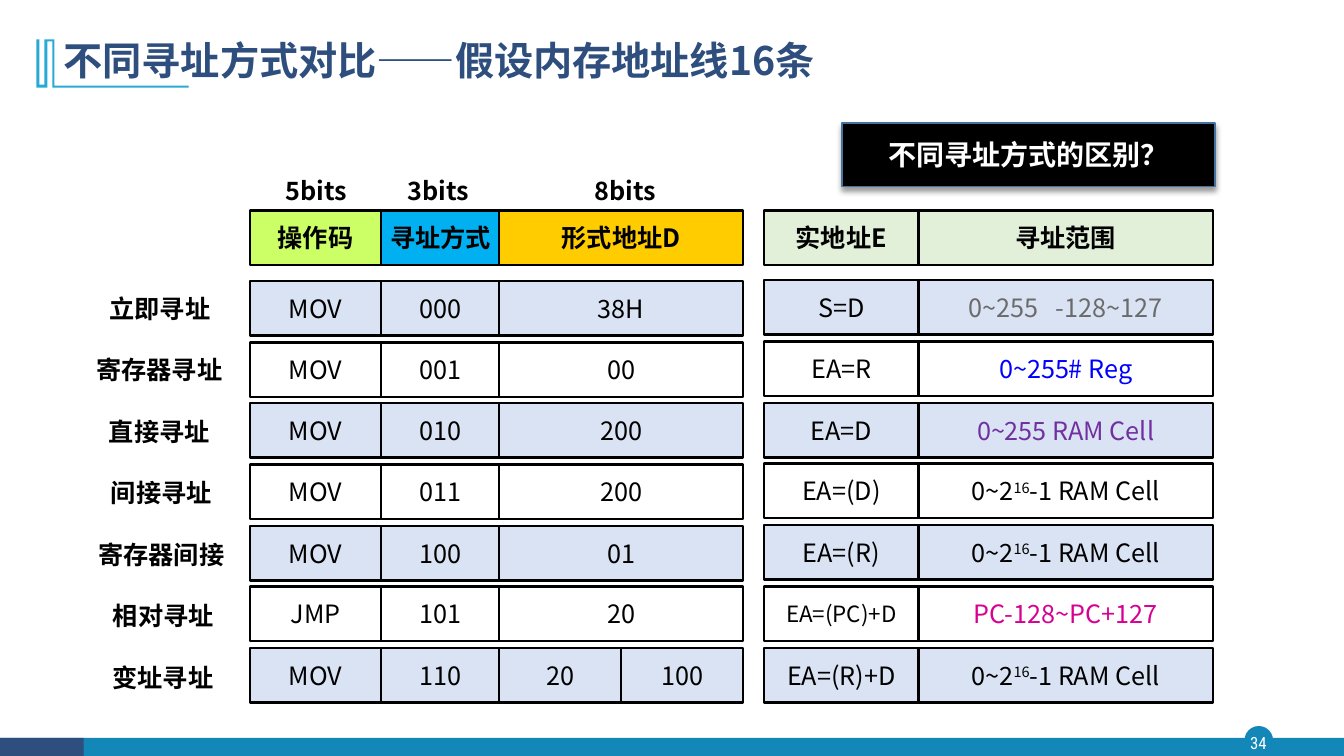
from lxml import etree
from pptx import Presentation
from pptx.dml.color import RGBColor
from pptx.enum.shapes import MSO_SHAPE
from pptx.enum.text import MSO_ANCHOR, MSO_AUTO_SIZE, PP_ALIGN
from pptx.oxml.ns import qn
from pptx.util import Pt

RECT, OVAL = MSO_SHAPE.RECTANGLE, MSO_SHAPE.OVAL
MIDDLE, TOP = MSO_ANCHOR.MIDDLE, MSO_ANCHOR.TOP
CENTER, LEFT = PP_ALIGN.CENTER, PP_ALIGN.LEFT
NO_FIT = MSO_AUTO_SIZE.NONE

PX = 9144  # EMU in one px, 100 px to the inch
THEME = {
    "font": "Noto Sans CJK SC", "title_font": "Noto Sans CJK JP",
    "number_font": "Roboto Condensed",
    "title_size": 28, "callout_size": 20, "size": 18, "small": 16, "number_size": 12,
    "border": 1.75, "thin": 1,
    "navy": "2E4E7E", "teal": "1387B7", "sky": "28A9D6", "outline": "43739E",
    "black": "000000", "white": "FFFFFF", "band": "DAE3F3",
    "opcode": "CCFF66", "mode": "00B0F0", "operand": "FFCC00", "result": "E2F0D9",
    "grey": "6B6B6B", "blue": "0000FF", "purple": "7030A0", "pink": "D60093",
}
ROW_HEIGHT, LAST_ROW_TOP = 54, 643

# Runs: text, then extra run attributes
CELLS_2_16 = [("0~2", {}), ("16", {"baseline": "30000"}), ("-1 RAM Cell", {})]
SIGNED_RANGE = [("0~255", {}), (" ", {"spc": "800"}), ("-128~127", {})]

# Row label with its left and width; opcode, mode, operands; address; range and its colour
ROWS = [
    ("立即寻址", 81, 155, "MOV", "000", ["38H"], "S=D", SIGNED_RANGE, "grey"),
    ("寄存器寻址", 83, 150, "MOV", "001", ["00"], "EA=R", "0~255# Reg", "blue"),
    ("直接寻址", 92, 132, "MOV", "010", ["200"], "EA=D", "0~255 RAM Cell", "purple"),
    ("间接寻址", 90, 140, "MOV", "011", ["200"], "EA=(D)", CELLS_2_16, "black"),
    ("寄存器间接", 83, 154, "MOV", "100", ["01"], "EA=(R)", CELLS_2_16, "black"),
    ("相对寻址", 97, 130, "JMP", "101", ["20"], "EA=(PC)+D", "PC-128~PC+127", "pink"),
    ("变址寻址", 99, 125, "MOV", "110", ["20", "100"], "EA=(R)+D", CELLS_2_16, "black"),
]


def rgb(name):
    return RGBColor.from_string(THEME[name])


def apply(target, **values):
    for name, value in values.items():
        setattr(target, name, value)


def emu(*lengths):
    return [round(length * PX) for length in lengths]


def write(shape, text, color="black", size="size", bold=False, font="font",
          align=CENTER, anchor=MIDDLE, wrap=False, side_inset=10, inset=5):
    frame = shape.text_frame
    side, edge = emu(side_inset, inset)
    apply(frame, auto_size=NO_FIT, word_wrap=wrap, vertical_anchor=anchor,
          margin_left=side, margin_right=side, margin_top=edge, margin_bottom=edge)
    paragraph = frame.paragraphs[0]
    paragraph.alignment = align
    for part, extras in [(text, {})] if isinstance(text, str) else text:
        run = paragraph.add_run()
        run.text = part
        apply(run.font, name=THEME[font], size=Pt(THEME[size]), bold=bold)
        run.font.color.rgb = rgb(color)
        properties = run._r.get_or_add_rPr()
        etree.SubElement(properties, qn("a:ea")).set("typeface", THEME[font])
        for name, value in extras.items():
            properties.set(name, value)
    return paragraph


def paint(shape, fill, line=None, width="border"):
    shape.shadow.inherit = False
    shape.fill.solid()
    shape.fill.fore_color.rgb = rgb(fill)
    if line:
        shape.line.color.rgb = rgb(line)
        shape.line.width = Pt(THEME[width])
    else:
        shape.line.fill.background()


def block(slide, box, fill, line=None, width="border", preset=RECT):
    shape = slide.shapes.add_shape(preset, *emu(*box))
    paint(shape, fill, line, width)
    return shape


def cell(slide, box, fill, text, line="black", **style):
    write(block(slide, box, fill, line), text, **style)


def footer(slide, left, top, width, height):
    block(slide, (left + 1235, top - 11, 27, 27), "teal", "teal", "thin", OVAL)
    block(slide, (left, top, width, height), "teal")
    block(slide, (left, top, 83, height), "navy")
    number = slide.shapes.add_textbox(*emu(left + 1232, top - 11, 32, 31))
    write(number, "34", "white", "number_size", font="number_font",
          wrap=True, side_inset=0, inset=0)


def heading(slide, left, top, width, height):
    # Bracket beside and under the title
    outline = [(18, 0), (18, 46), (151, 46), (151, 48), (16, 48), (16, 2), (11, 2),
               (11, 48), (0, 48), (0, 0), (3, 0), (3, 45), (8, 45), (8, 0)]
    points = [(left - 17 + x, top + 11 + y) for x, y in outline]
    builder = slide.shapes.build_freeform(*points[0], scale=PX)
    builder.add_line_segments(points[1:], close=True)
    paint(builder.convert_to_shape(), "sky")

    title = slide.shapes.title
    apply(title, **dict(zip(("left", "top", "width", "height"),
                            emu(left, top, width, height))))
    paragraph = write(title, "不同寻址方式对比——假设内存地址线16条", "navy",
                      "title_size", True, "title_font", LEFT, wrap=True)
    paragraph.line_spacing = 0.9


def row_tops(top):
    pitch = (LAST_ROW_TOP - top) / (len(ROWS) - 1)
    return [round(top + index * pitch) for index in range(len(ROWS))]


def band(index):
    return "white" if index % 2 else "band"


def row_labels(slide, top):
    for index, (label, left, width, *_) in enumerate(ROWS):
        cell(slide, (left, top + 61 * index, width, ROW_HEIGHT), "white", label,
             line="white", bold=True)


def instruction_format(slide, left, top, header_top):
    columns = [(left, 130, 10), (left + 130, 118, 0), (left + 247, 242, 10)]
    headers = [("操作码", "opcode", "5bits", 272), ("寻址方式", "mode", "3bits", 393),
               ("形式地址D", "operand", "8bits", 579)]
    for (x, width, inset), (name, fill, bits, bits_left) in zip(columns, headers):
        cell(slide, (x, header_top, width, ROW_HEIGHT), fill, name,
             bold=True, side_inset=inset)
        caption = slide.shapes.add_textbox(*emu(bits_left, header_top - 40, 83, 40))
        write(caption, bits, bold=True, anchor=TOP)

    for index, (y, row) in enumerate(zip(row_tops(top), ROWS)):
        opcode, mode, operands = row[3:6]
        for (x, width, inset), text in zip(columns, (opcode, mode)):
            cell(slide, (x, y, width, ROW_HEIGHT), band(index), text, side_inset=inset)
        x, width, inset = columns[2]
        share = width // len(operands)
        for part, operand in enumerate(operands):
            cell(slide, (x + part * share, y, share, ROW_HEIGHT), band(index), operand)


def effective_address(slide, left, top, header_top):
    address_width, range_width = 153, 292
    range_left = left + address_width
    for x, width, name in ((range_left, range_width, "寻址范围"),
                           (left, address_width, "实地址E")):
        cell(slide, (x, header_top, width, ROW_HEIGHT), "result", name, bold=True)
    for index, (y, row) in enumerate(zip(row_tops(top), ROWS)):
        address, reach, color = row[6:]
        cell(slide, (range_left, y, range_width, ROW_HEIGHT), band(index), reach,
             color=color)
        cell(slide, (left, y, address_width, ROW_HEIGHT), band(index), address,
             size="small" if len(address) > 8 else "size")


def callout(slide, *box):
    question = block(slide, box, "black", "outline", "thin")
    write(question, "不同寻址方式的区别？", "white", "callout_size", True, wrap=True)
    # Soft shadow straight below
    effects = question._element.spPr.find(qn("a:effectLst"))
    shadow = etree.SubElement(effects, qn("a:outerShdw"), blurRad=str(Pt(4)),
                              dist=str(Pt(3)), dir="5400000", rotWithShape="0")
    tint = etree.SubElement(shadow, qn("a:srgbClr"), val=THEME["black"])
    etree.SubElement(tint, qn("a:alpha"), val="40000")


def main():
    deck = Presentation()
    deck.slide_width, deck.slide_height = emu(1333, 750)
    slide = deck.slides.add_slide(deck.slide_layouts[5])
    footer(slide, 0, 732, 1333, 19)
    heading(slide, 53, 28, 1150, 68)
    row_labels(slide, 279)
    instruction_format(slide, 248, 279, 209)
    effective_address(slide, 758, 278, 209)
    callout(slide, 835, 122, 370, 63)
    deck.save("out.pptx")


if __name__ == "__main__":
    main()
